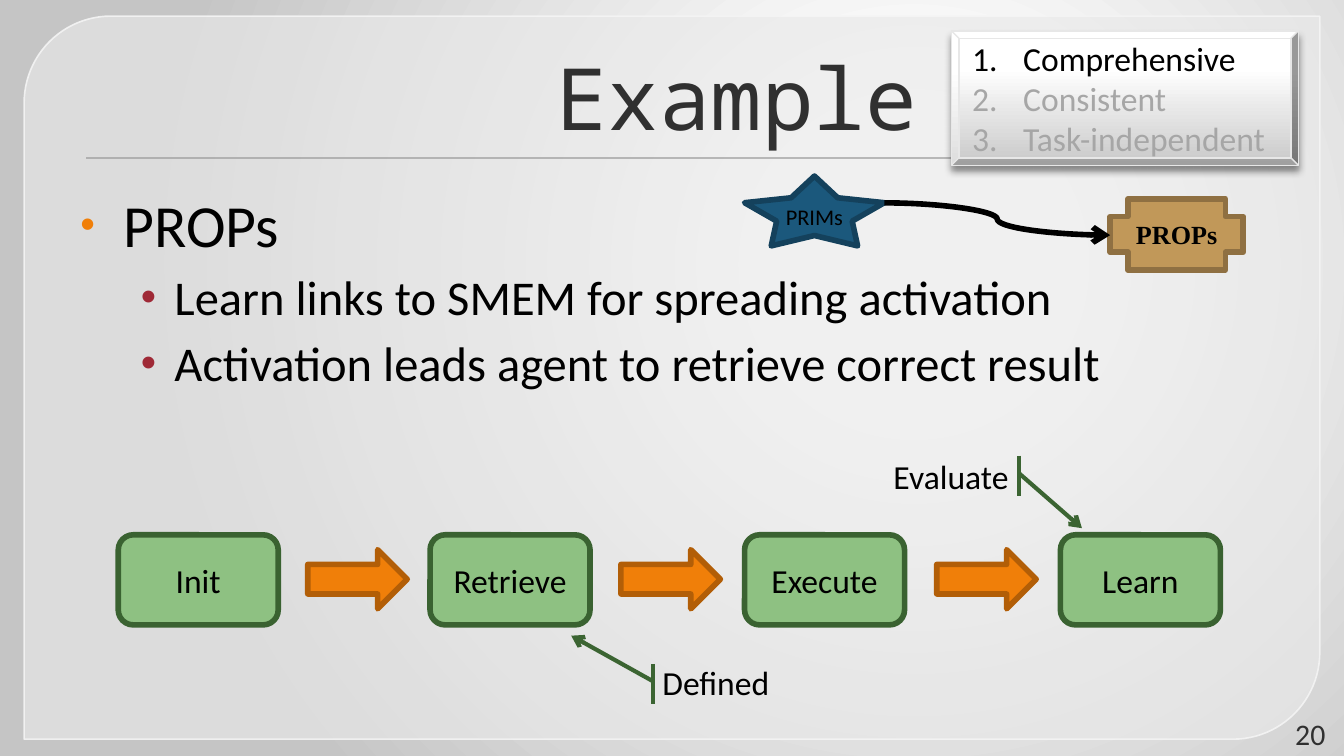
from dataclasses import dataclass
from typing import Any, Optional

from lxml.etree import SubElement
from pptx import Presentation
from pptx.dml.color import RGBColor
from pptx.enum.shapes import MSO_CONNECTOR, MSO_SHAPE
from pptx.enum.text import MSO_ANCHOR, MSO_AUTO_SIZE, PP_ALIGN
from pptx.oxml.ns import qn
from pptx.util import Inches, Pt


@dataclass(frozen=True)
class Theme:
    sans: str = "Calibri"
    mono: str = "Noto Sans Mono"
    serif: str = "Times New Roman"
    black: str = "000000"
    white: str = "FFFFFF"
    heading: str = "303030"
    muted: str = "A6A6A6"
    orange: str = "F07F09"
    orange_edge: str = "B25E07"
    red: str = "9F2936"
    green: str = "8EC182"
    green_edge: str = "3A6231"
    callout: str = "3B6432"
    blue: str = "1B587C"
    blue_edge: str = "14415C"
    tan: str = "C19859"
    tan_edge: str = "8F7042"
    backdrop: str = "C5C5C5"
    panel: str = "E9E9E9"
    panel_edge: str = "F5F5F5"
    rule: str = "999999"
    bevel: str = "C9C9C9"
    bevel_edge: str = "E7E7E7"
    title_size: float = 46
    topic_size: float = 32
    point_size: float = 26
    label_size: float = 18
    page_size: float = 16
    props_size: float = 14
    prims_size: float = 12


@dataclass(frozen=True)
class Box:
    left: float
    top: float
    width: float
    height: float

    def emu(self) -> tuple:
        return tuple(Inches(v) for v in (self.left, self.top, self.width, self.height))


@dataclass(frozen=True)
class Step:
    label: str
    left: float
    arrow_left: Optional[float] = None


@dataclass(frozen=True)
class Callout:
    label: str
    box: Box
    bar_x: float
    bar_top: float
    start_y: float
    target: tuple


@dataclass(frozen=True)
class Bullet:
    text: str
    size: float
    color: str
    scale: int
    margin: float
    hanging: float
    level: int = 0
    before: float = 0


THEME = Theme()
STEPS = [Step("Init", 0.88, 2.29), Step("Retrieve", 3.2, 4.62), Step("Execute", 5.54, 6.97), Step("Learn", 7.89)]
CALLOUTS = [
    Callout("Defined", Box(4.83, 4.88, 1.01, 0.4), 4.86, 4.94, 5.07, (4.25, 4.73)),
    Callout("Evaluate", Box(6.55, 3.34, 1.07, 0.4), 7.58, 3.39, 3.52, (8.05, 3.93)),
]
BULLETS = [Bullet("PROPs", THEME.topic_size, THEME.orange, 70, 0.32, 0.32)] + [
    Bullet(text, THEME.point_size, THEME.red, 90, 0.7, 0.25, 1, 4)
    for text in ("Learn links to SMEM for spreading activation",
                 "Activation leads agent to retrieve correct result")
]
GOALS = [("Comprehensive", THEME.black), ("Consistent", THEME.muted), ("Task-independent", THEME.muted)]


def add_run(paragraph: Any, text: str, size: float, color: str = THEME.black,
            face: str = THEME.sans, bold: bool = False) -> None:
    run = paragraph.add_run()
    run.text = text
    run.font.size, run.font.name, run.font.bold = Pt(size), face, bold
    run.font.color.rgb = RGBColor.from_string(color)


def add_color(parent: Any, color: str) -> Any:
    return SubElement(parent, qn("a:srgbClr"), val=color)


def set_alpha(fill_parent: Any, percent: int) -> None:
    color = fill_parent.find(qn("a:solidFill")).find(qn("a:srgbClr"))
    SubElement(color, qn("a:alpha"), val=str(percent * 1000))


def set_stops(owner: Any, stops: list) -> Any:
    """Replace the content of the owner's gradient with stops; return it for its direction."""
    gradient = owner.find(".//" + qn("a:gradFill"))
    for child in list(gradient):
        gradient.remove(child)
    stop_list = SubElement(gradient, qn("a:gsLst"))
    for position, color in stops:
        add_color(SubElement(stop_list, qn("a:gs"), pos=str(position * 1000)), color)
    return gradient


def add_shadow(shape: Any, alpha: int, blur: float, distance: float) -> None:
    effects = shape.element.spPr.find(qn("a:effectLst"))
    shadow = SubElement(effects, qn("a:outerShdw"), blurRad=str(Pt(blur)), dist=str(Pt(distance)),
                        dir="5400000", rotWithShape="0")
    SubElement(add_color(shadow, THEME.black), qn("a:alpha"), val=str(alpha * 1000))


def add_figure(shapes: Any, kind: Any, box: Box, fill: str, edge: Optional[str] = None,
               weight: float = 3) -> Any:
    shape = shapes.add_shape(kind, *box.emu())
    shape.shadow.inherit = False
    shape.fill.solid()
    shape.fill.fore_color.rgb = RGBColor.from_string(fill)
    if edge:
        shape.line.color.rgb = RGBColor.from_string(edge)
        shape.line.width = Pt(weight)
    else:
        shape.line.fill.background()
    return shape


def add_label(shape: Any, text: str, size: float, face: str = THEME.sans, bold: bool = False) -> None:
    frame = shape.text_frame
    frame.word_wrap = False
    frame.vertical_anchor = MSO_ANCHOR.MIDDLE
    frame.paragraphs[0].alignment = PP_ALIGN.CENTER
    add_run(frame.paragraphs[0], text, size, face=face, bold=bold)


def add_line(shapes: Any, start: tuple, end: tuple, color: str, weight: float,
             arrow: bool = False, kind: Any = MSO_CONNECTOR.STRAIGHT) -> None:
    connector = shapes.add_connector(kind, *(Inches(v) for v in start + end))
    connector.line.color.rgb = RGBColor.from_string(color)
    connector.line.width = Pt(weight)
    if arrow:
        SubElement(connector.get_or_add_ln(), qn("a:tailEnd"), type="arrow")
    SubElement(connector.element.spPr, qn("a:effectLst"))


def indent(paragraph: Any, margin: float, hanging: float) -> Any:
    properties = paragraph._p.get_or_add_pPr()
    properties.set("marL", str(Inches(margin)))
    properties.set("indent", str(-Inches(hanging)))
    return properties


def add_backdrop(slide: Any) -> None:
    slide.background.fill.gradient()
    gradient = set_stops(slide.element, [(0, THEME.white), (20, THEME.white), (100, THEME.backdrop)])
    circle = SubElement(gradient, qn("a:path"), path="circle")
    SubElement(circle, qn("a:fillToRect"), l="68000", t="35000", r="32000", b="65000")
    panel = add_figure(slide.shapes, MSO_SHAPE.ROUND_2_DIAG_RECTANGLE, Box(0.18, 0.12, 9.64, 5.38),
                       THEME.panel, THEME.panel_edge, 0.87)
    panel.adjustments[0], panel.adjustments[1] = 0.12, 0
    set_alpha(panel.element.spPr, 65)
    set_alpha(panel.element.spPr.find(qn("a:ln")), 88)
    add_figure(slide.shapes, MSO_SHAPE.RECTANGLE, Box(0.64, 1.17, 8.75, 0.01), THEME.rule)


def add_title(slide: Any) -> None:
    title = slide.shapes.title
    title.left, title.top, title.width, title.height = Box(0.5, 0.21, 6.42, 0.94).emu()
    frame = title.text_frame
    frame.auto_size = MSO_AUTO_SIZE.NONE
    frame.vertical_anchor = MSO_ANCHOR.BOTTOM
    frame.paragraphs[0].alignment = PP_ALIGN.RIGHT
    add_run(frame.paragraphs[0], "Example", THEME.title_size, THEME.heading, THEME.mono)
    # Bring the title in front of the panel
    slide.shapes.element.append(title.element)


def add_bullets(shapes: Any) -> None:
    frame = shapes.add_textbox(*Box(0.5, 1.35, 9, 1.55).emu()).text_frame
    frame.word_wrap = True
    for i, bullet in enumerate(BULLETS):
        paragraph = frame.add_paragraph() if i else frame.paragraphs[0]
        paragraph.level = bullet.level
        if bullet.before:
            paragraph.space_before = Pt(bullet.before)
        properties = indent(paragraph, bullet.margin, bullet.hanging)
        add_color(SubElement(properties, qn("a:buClr")), bullet.color)
        SubElement(properties, qn("a:buSzPct"), val=str(bullet.scale * 1000))
        SubElement(properties, qn("a:buFont"), typeface="Arial")
        SubElement(properties, qn("a:buChar"), char="•")
        add_run(paragraph, bullet.text, bullet.size)


def add_goals(shapes: Any) -> None:
    bevel = add_figure(shapes, MSO_SHAPE.BEVEL, Box(7.08, 0.23, 2.58, 1), THEME.white, THEME.bevel_edge, 0.75)
    bevel.adjustments[0] = 0.055
    bevel.fill.gradient()
    gradient = set_stops(bevel.element, [(0, THEME.bevel), (72, THEME.white), (100, THEME.white)])
    SubElement(gradient, qn("a:lin"), ang="16200000", scaled="0")
    add_shadow(bevel, 43, 4, 3)
    frame = bevel.text_frame
    frame.word_wrap = True
    frame.vertical_anchor = MSO_ANCHOR.MIDDLE
    frame.margin_top = frame.margin_bottom = 0
    for i, (goal, color) in enumerate(GOALS):
        paragraph = frame.add_paragraph() if i else frame.paragraphs[0]
        paragraph.alignment = PP_ALIGN.LEFT
        SubElement(indent(paragraph, 0.38, 0.38), qn("a:buAutoNum"), type="arabicPeriod")
        add_run(paragraph, goal, THEME.label_size, color)


def add_flow(shapes: Any) -> None:
    for step in STEPS:
        stage = add_figure(shapes, MSO_SHAPE.ROUNDED_RECTANGLE, Box(step.left, 3.98, 1.19, 0.67),
                           THEME.green, THEME.green_edge)
        add_label(stage, step.label, THEME.label_size)
        if step.arrow_left:
            add_figure(shapes, MSO_SHAPE.RIGHT_ARROW, Box(step.arrow_left, 4.09, 0.74, 0.44),
                       THEME.orange, THEME.orange_edge)


def add_callout(shapes: Any, callout: Callout) -> None:
    frame = shapes.add_textbox(*callout.box.emu()).text_frame
    frame.word_wrap = False
    add_run(frame.paragraphs[0], callout.label, THEME.label_size)
    x, top = callout.bar_x, callout.bar_top
    add_line(shapes, (x, top), (x, top + 0.3), THEME.callout, 2.25)
    add_line(shapes, (x, callout.start_y), callout.target, THEME.callout, 2.25, arrow=True)


def add_prims_to_props(shapes: Any) -> None:
    star = add_figure(shapes, MSO_SHAPE.STAR_5_POINT, Box(5.54, 1.31, 1.04, 0.52), THEME.blue, THEME.blue_edge)
    star.adjustments[0] = 0.27
    star.text_frame.margin_left = star.text_frame.margin_right = 0
    add_label(star, "PRIMs", THEME.prims_size)
    plus = add_figure(shapes, MSO_SHAPE.CROSS, Box(8.26, 1.48, 0.99, 0.53), THEME.tan, THEME.tan_edge)
    add_label(plus, "PROPs", THEME.props_size, THEME.serif, bold=True)
    add_line(shapes, (6.58, 1.51), (8.26, 1.75), THEME.black, 3, arrow=True, kind=MSO_CONNECTOR.CURVE)


def add_page_number(shapes: Any) -> None:
    frame = shapes.add_textbox(*Box(9.45, 5.34, 0.51, 0.23).emu()).text_frame
    frame.word_wrap = True
    frame.vertical_anchor = MSO_ANCHOR.MIDDLE
    frame.paragraphs[0].alignment = PP_ALIGN.RIGHT
    add_run(frame.paragraphs[0], "20", THEME.page_size, THEME.heading)


def main() -> None:
    deck = Presentation()
    deck.slide_width = Inches(10)
    deck.slide_height = deck.slide_width * 9 // 16
    slide = deck.slides.add_slide(deck.slide_layouts[5])
    add_backdrop(slide)
    add_title(slide)
    add_bullets(slide.shapes)
    add_page_number(slide.shapes)
    add_goals(slide.shapes)
    add_flow(slide.shapes.add_group_shape().shapes)
    for callout in CALLOUTS:
        add_callout(slide.shapes, callout)
    add_prims_to_props(slide.shapes)
    deck.save("out.pptx")


if __name__ == "__main__":
    main()
